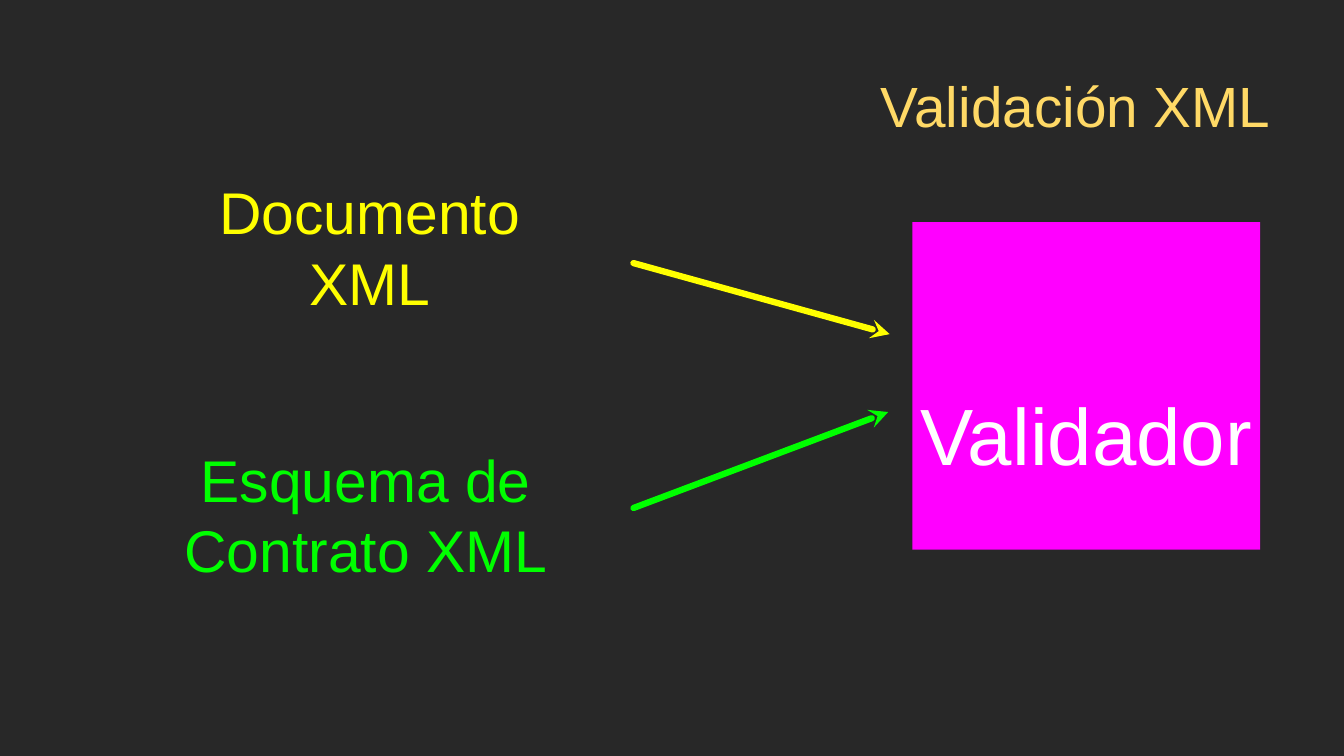
from lxml import etree
from pptx import Presentation
from pptx.dml.color import RGBColor
from pptx.enum.shapes import MSO_CONNECTOR, MSO_SHAPE
from pptx.enum.text import MSO_ANCHOR, MSO_AUTO_SIZE, PP_ALIGN
from pptx.oxml.ns import qn
from pptx.util import Inches, Pt

RECT = MSO_SHAPE.RECTANGLE
LINE = MSO_CONNECTOR.STRAIGHT
MIDDLE = MSO_ANCHOR.MIDDLE
FIXED = MSO_AUTO_SIZE.NONE
CENTER = PP_ALIGN.CENTER

HUES = {
    "back": "282828",
    "title": "FFD966",
    "doc": "FFFF00",
    "schema": "00FF00",
    "box": "FF00FF",
    "white": "FFFFFF",
}


def color(name):
    return RGBColor.from_string(HUES[name])


def write(shape, text, size, hue, top=0):
    frame = shape.text_frame
    frame.word_wrap = True
    frame.auto_size = FIXED
    frame.vertical_anchor = MIDDLE
    frame.margin_left = frame.margin_right = frame.margin_bottom = 0
    frame.margin_top = top
    frame.text = text
    para = frame.paragraphs[0]
    para.alignment = CENTER
    para.line_spacing = Pt(size * 1.2)
    para.font.name = "Arial"
    para.font.size = Pt(size)
    para.font.color.rgb = color(hue)


# Slide
deck = Presentation()
deck.slide_width, deck.slide_height = Inches(17.78), Inches(10)
slide = deck.slides.add_slide(deck.slide_layouts[5])
slide.background.fill.solid()
slide.background.fill.fore_color.rgb = color("back")
shapes = slide.shapes

# Title
title = shapes.title
title.left, title.top = Inches(11.56), Inches(0.83)
title.width, title.height = Inches(5.34), Inches(1.1)
write(title, "Validación XML", 54, "title")

# Validator, with its label one line below the middle
box = shapes.add_shape(RECT, Inches(12.07), Inches(2.94), Inches(4.6), Inches(4.33))
box.shadow.inherit = False
box.fill.solid()
box.fill.fore_color.rgb = color("box")
box.line.fill.background()
write(box, "Validador", 76, "white", top=Inches(1.27))

# Inputs: text, hue, label left, top and width, arrow tip and tail
inputs = [
    ("Esquema de Contrato XML", "schema", 1.49, 6.3, 6.7, (11.75, 5.45), (8.38, 6.72)),
    ("Documento XML", "doc", 2.27, 2.76, 5.24, (11.77, 4.42), (8.38, 3.48)),
]
for text, hue, left, top, width, tip, tail in inputs:
    label = shapes.add_textbox(Inches(left), Inches(top), Inches(width), Inches(1))
    write(label, text, 56, hue)

    ends = [Inches(n) for n in tip + tail]
    arrow = shapes.add_connector(LINE, *ends)
    arrow.line.color.rgb = color(hue)
    arrow.line.width = Pt(6)
    props = arrow.line._get_or_add_ln()
    props.set("cap", "rnd")
    etree.SubElement(props, qn("a:round"))
    etree.SubElement(props, qn("a:headEnd"), type="stealth")
    etree.SubElement(arrow._element.spPr, qn("a:effectLst"))

deck.save("out.pptx")
